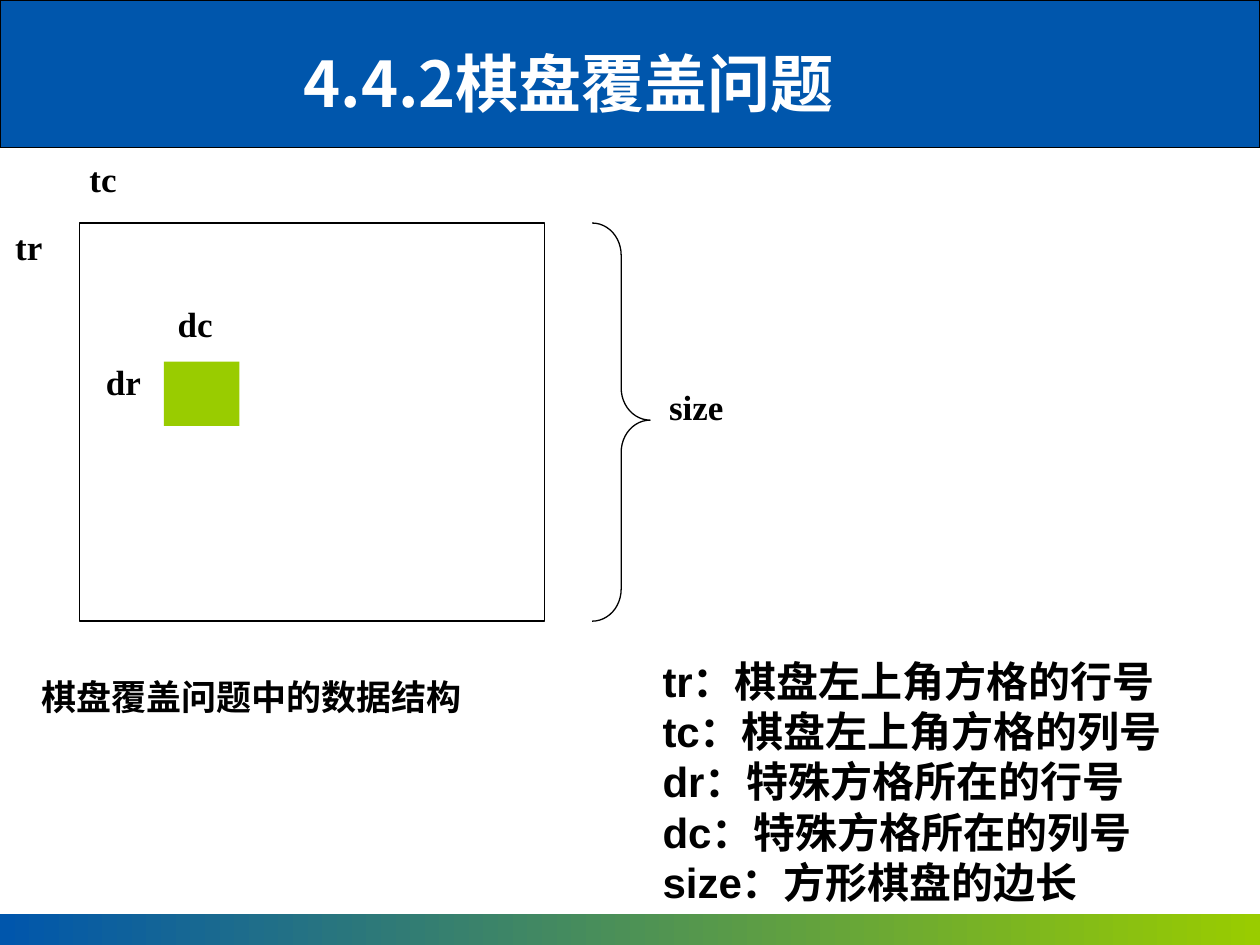
from lxml.etree import SubElement
from pptx import Presentation
from pptx.dml.color import RGBColor
from pptx.enum.shapes import MSO_SHAPE as Shape
from pptx.enum.text import MSO_AUTO_SIZE as AutoSize, PP_ALIGN as Align
from pptx.oxml.ns import qn
from pptx.util import Inches, Pt

BLUE, GREEN, BLACK, WHITE = "0056AC", "99CC00", "000000", "FFFFFF"
CJK_FONT = "Noto Sans CJK SC"


def color(value):
    return RGBColor.from_string(value)


def add_block(slide, box, fill=None, line=None, kind=Shape.RECTANGLE):
    block = slide.shapes.add_shape(kind, *map(Inches, box))
    block.shadow.inherit = False
    if fill:
        block.fill.solid()
        block.fill.fore_color.rgb = color(fill)
    else:
        block.fill.background()
    if line:
        block.line.color.rgb = color(line)
        block.line.width = Pt(0.75)
    else:
        block.line.fill.background()
    return block


def add_gradient_bar(slide, box, ends):
    bar = add_block(slide, box)
    bar.fill.gradient()
    bar.fill.gradient_angle = 0
    for stop, end in zip(bar.fill.gradient_stops, ends):
        stop.color.rgb = color(end)


def add_brace(slide, box):
    brace = add_block(slide, box, line=BLACK, kind=Shape.LEFT_BRACE)
    brace.rotation = 180
    brace.adjustments[0] = 0.555
    brace.adjustments[1] = 0.505


def add_text(slide, box, lines, size, font, ink=BLACK, align=None,
             margins=(0.1, 0.05), grow=False):
    frame = slide.shapes.add_textbox(*map(Inches, box)).text_frame
    frame.word_wrap = True
    frame.margin_left = frame.margin_right = Inches(margins[0])
    frame.margin_top = frame.margin_bottom = Inches(margins[1])
    if grow:
        frame.auto_size = AutoSize.SHAPE_TO_FIT_TEXT
    frame.text = "\n".join(lines)
    for paragraph in frame.paragraphs:
        paragraph.alignment = align
        for run in paragraph.runs:
            run.font.name = font
            run.font.size = Pt(size)
            run.font.bold = True
            run.font.color.rgb = color(ink)
            SubElement(run.font._element, qn("a:ea"), typeface=CJK_FONT)


def add_label(slide, box, name):
    add_text(slide, box, [name], 20, "Times New Roman",
             align=Align.JUSTIFY, margins=(0, 0))


def add_chessboard(slide):
    top, height = 1.77, 3.16
    add_block(slide, (0.63, top, 3.69, height), line=BLACK)
    add_block(slide, (1.3, 2.87, 0.6, 0.51), fill=GREEN)
    add_brace(slide, (4.7, top, 0.46, height))
    labels = {
        "dc": (1.41, 2.4, 0.53, 0.42),
        "dr": (0.84, 2.86, 0.53, 0.42),
        "tr": (0.12, 1.79, 0.41, 0.42),
        "tc": (0.71, 1.25, 0.53, 0.42),
        "size": (5.31, 3.06, 0.79, 0.53),
    }
    for name, box in labels.items():
        add_label(slide, box, name)
    add_text(slide, (0.23, 5.36, 5.28, 0.85), ["棋盘覆盖问题中的数据结构"],
             20, "Arial", align=Align.JUSTIFY, margins=(0.1, 0))


def main():
    deck = Presentation()
    deck.slide_width, deck.slide_height = Inches(10), Inches(7.5)
    slide = deck.slides.add_slide(deck.slide_layouts[6])

    add_block(slide, (0, 0, 10, 1.17), fill=BLUE, line=BLACK)
    add_gradient_bar(slide, (0, 7.25, 10, 0.25), (BLUE, GREEN))
    add_chessboard(slide)
    meanings = [
        "tr：棋盘左上角方格的行号",
        "tc：棋盘左上角方格的列号",
        "dr：特殊方格所在的行号",
        "dc：特殊方格所在的列号",
        "size：方形棋盘的边长",
    ]
    add_text(slide, (5.16, 5.15, 4.72, 2.12), meanings, 24, "Arial", grow=True)
    add_text(slide, (2.31, 0.3, 5.83, 0.71), ["4.4.2棋盘覆盖问题"], 36,
             CJK_FONT, ink=WHITE, grow=True)
    deck.save("out.pptx")


if __name__ == "__main__":
    main()
